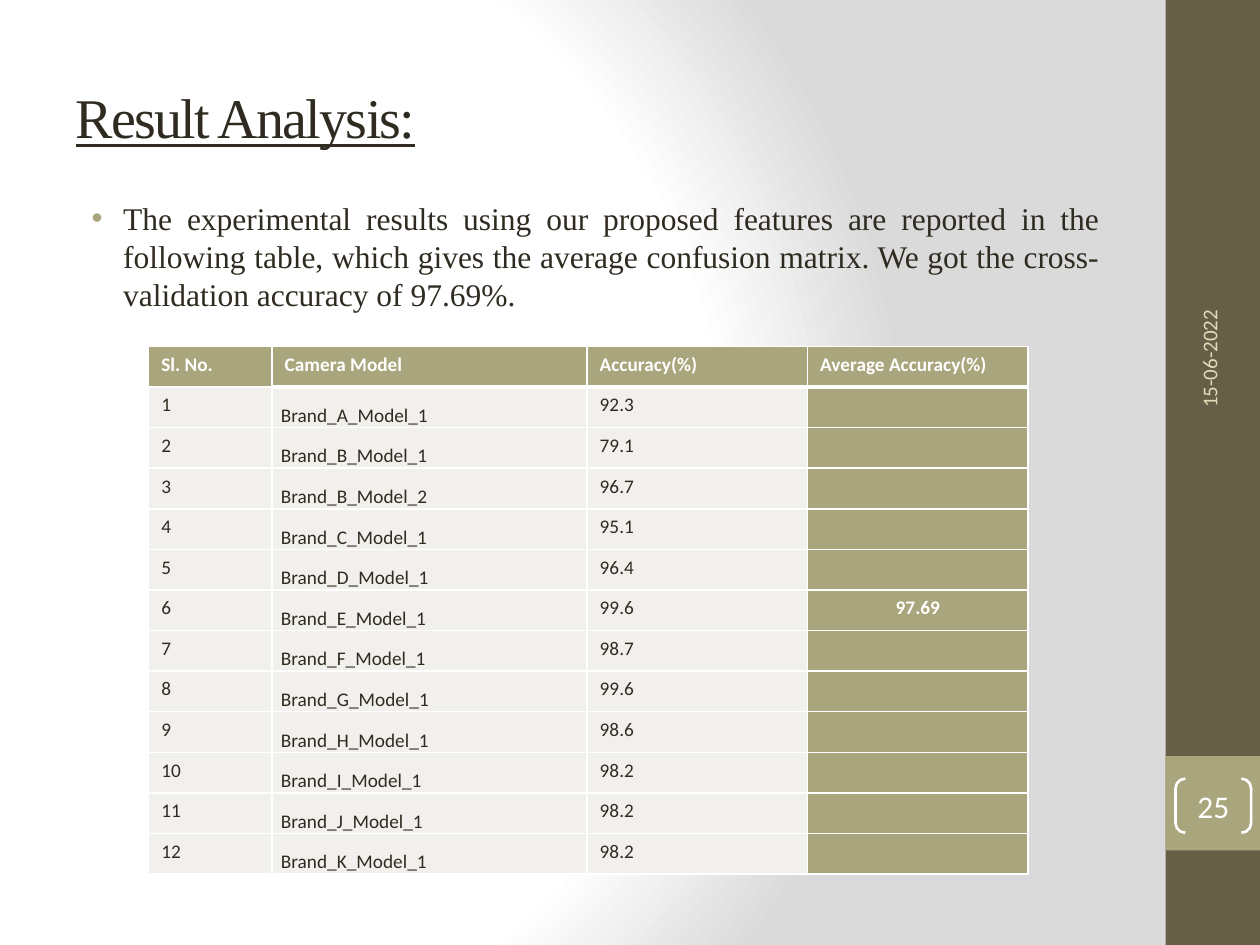
from lxml import etree
from pptx import Presentation
from pptx.dml.color import RGBColor
from pptx.enum.shapes import MSO_SHAPE
from pptx.enum.text import MSO_ANCHOR, PP_ALIGN
from pptx.oxml import parse_xml
from pptx.oxml.ns import nsdecls, qn
from pptx.util import Inches, Pt

RECTANGLE, BRACKETS = MSO_SHAPE.RECTANGLE, MSO_SHAPE.DOUBLE_BRACKET
TOP, MIDDLE, BOTTOM = MSO_ANCHOR.TOP, MSO_ANCHOR.MIDDLE, MSO_ANCHOR.BOTTOM
LEFT, CENTER, JUSTIFY = PP_ALIGN.LEFT, PP_ALIGN.CENTER, PP_ALIGN.JUSTIFY
SERIF, SANS = "Times New Roman", "Calibri"
INK, BROWN, OLIVE, PALE, WHITE = "2F2B20", "675E47", "A9A57C", "F1F0EC", "FFFFFF"
SAND, GRAY = "DFDCB7", "DADADA"

HEADERS = ["Sl. No.", "Camera Model", "Accuracy(%)", "Average Accuracy(%)"]
RESULTS = [
    ("Brand_A_Model_1", "92.3"),
    ("Brand_B_Model_1", "79.1"),
    ("Brand_B_Model_2", "96.7"),
    ("Brand_C_Model_1", "95.1"),
    ("Brand_D_Model_1", "96.4"),
    ("Brand_E_Model_1", "99.6"),
    ("Brand_F_Model_1", "98.7"),
    ("Brand_G_Model_1", "99.6"),
    ("Brand_H_Model_1", "98.6"),
    ("Brand_I_Model_1", "98.2"),
    ("Brand_J_Model_1", "98.2"),
    ("Brand_K_Model_1", "98.2"),
]
AVERAGE_ROW, AVERAGE = 6, "97.69"
COLUMN_WIDTHS = [0.98, 2.5, 1.75, 1.75]


def color(hex_string):
    """Turn a hex string into a colour."""
    return RGBColor.from_string(hex_string)


def add_run(paragraph, text, size, font, ink, bold=False):
    """Add one formatted run to a paragraph."""
    run = paragraph.add_run()
    run.text = text
    run.font.size, run.font.name, run.font.bold = Pt(size), font, bold
    run.font.color.rgb = color(ink)
    return run


def add_textbox(slide, left, top, width, height, anchor):
    """Add a wrapping text box and return it."""
    box = slide.shapes.add_textbox(Inches(left), Inches(top), Inches(width), Inches(height))
    box.text_frame.word_wrap = True
    box.text_frame.vertical_anchor = anchor
    return box


def add_background(slide):
    """Fill the background with a circular gradient."""
    fill = slide.background.fill
    fill.gradient()
    gradient = slide.background._cSld.find(".//" + qn("a:gradFill"))
    stops = "".join(
        f'<a:gs pos="{position * 1000}"><a:srgbClr val="{shade}"/></a:gs>'
        for position, shade in [(0, WHITE), (75, WHITE), (100, GRAY)]
    )
    gradient.getparent().replace(gradient, parse_xml(
        f'<a:gradFill {nsdecls("a")} rotWithShape="1"><a:gsLst>{stops}</a:gsLst>'
        '<a:path path="circle"><a:fillToRect l="20000" t="50000" r="100000" b="50000"/>'
        "</a:path></a:gradFill>"
    ))


def add_sidebar(slide, left, width, height):
    """Add the side band with the date and the page number."""
    badge_top = 6
    for top, band_height, shade in [(0, height, BROWN), (badge_top, width, OLIVE)]:
        band = slide.shapes.add_shape(
            RECTANGLE, Inches(left), Inches(top), Inches(width), Inches(band_height))
        band.shadow.inherit = False
        band.fill.solid()
        band.fill.fore_color.rgb = color(shade)
        band.line.fill.background()

    date = add_textbox(slide, left - 0.99, 1.8, 2.67, 0.4, MIDDLE)
    date.rotation = 270
    add_run(date.text_frame.paragraphs[0], "15-06-2022", 12, SANS, SAND)

    number = slide.shapes.add_shape(
        BRACKETS, Inches(left + 0.08), Inches(badge_top + 0.18), Inches(0.6), Inches(0.43))
    number.adjustments[0] = 0.18
    number.shadow.inherit = False
    number.fill.background()
    number.line.color.rgb = color(WHITE)
    number.line.width = Pt(1.5)
    frame = number.text_frame
    frame.margin_left = frame.margin_right = frame.margin_top = frame.margin_bottom = 0
    frame.vertical_anchor = MIDDLE
    frame.paragraphs[0].alignment = CENTER
    add_run(frame.paragraphs[0], "25", 18, SANS, WHITE)


def add_title(slide, left, top, width, height):
    """Place and format the title."""
    title = slide.shapes.title
    title.left, title.top = Inches(left), Inches(top)
    title.width, title.height = Inches(width), Inches(height)
    title.text_frame.vertical_anchor = MIDDLE
    paragraph = title.text_frame.paragraphs[0]
    paragraph.alignment = LEFT
    run = add_run(paragraph, "Result Analysis:", 32, SERIF, INK)
    run.font.underline = True
    run.font._element.set("spc", "-100")


def add_summary(slide, left, top, width, height):
    """Add the bulleted summary paragraph."""
    box = add_textbox(slide, left, top, width, height, TOP)
    paragraph = box.text_frame.paragraphs[0]
    paragraph.alignment = JUSTIFY
    paragraph.space_before = Pt(3.6)
    properties = paragraph._p.get_or_add_pPr()
    properties.set("marL", str(Inches(0.38)))
    properties.set("indent", str(Inches(-0.25)))
    bullet_color = etree.SubElement(properties, qn("a:buClr"))
    etree.SubElement(bullet_color, qn("a:srgbClr"), val=OLIVE)
    etree.SubElement(properties, qn("a:buFont"), typeface="Arial")
    etree.SubElement(properties, qn("a:buChar"), char="\u2022")
    add_run(paragraph, "The experimental results using our proposed features are reported in "
            "the following table, which gives the average confusion matrix. We got the "
            "cross-validation accuracy of 97.69%.", 18, SERIF, INK)


def set_borders(cell, widths):
    """Draw white cell borders from a mapping of side to width in points."""
    properties = cell._tc.get_or_add_tcPr()
    sides = [side for side in "LRTB" if side in widths]
    for position, side in enumerate(sides):
        properties.insert(position, parse_xml(
            f'<a:ln{side} {nsdecls("a")} w="{Pt(widths[side])}"><a:solidFill>'
            f'<a:srgbClr val="{WHITE}"/></a:solidFill></a:ln{side}>'))


def fill_cell(cell, text, row, column):
    """Write and format one table cell by its row and column."""
    header, average, model = row == 0, column == 3, column == 1 and row > 0
    accent = header or average
    cell.fill.solid()
    cell.fill.fore_color.rgb = color(OLIVE if accent else PALE)
    paragraph = cell.text_frame.paragraphs[0]
    if text:
        add_run(paragraph, text, 11, SANS, WHITE if accent else INK, accent)
    else:
        etree.SubElement(paragraph._p, qn("a:endParaRPr"), sz="1100")
    if average and not header:
        paragraph.alignment = CENTER
    if model:
        paragraph.line_spacing = 1.5
        cell.vertical_anchor = BOTTOM
        cell.margin_left = cell.margin_right = Inches(0.07)
        cell.margin_top = cell.margin_bottom = 0
    if not header:
        sides = "LRB" if row == 1 else "LRTB"
        set_borders(cell, dict.fromkeys(sides, 1))
    elif column > 0:
        sides = "RT" if column == 1 else "LRT"
        set_borders(cell, {**dict.fromkeys(sides, 1), "B": 3})


def add_results(slide, left, top, height):
    """Add the table of accuracies."""
    rows = [HEADERS] + [
        [str(number), model, accuracy, AVERAGE if number == AVERAGE_ROW else ""]
        for number, (model, accuracy) in enumerate(RESULTS, 1)
    ]
    table = slide.shapes.add_table(
        len(rows), len(HEADERS), Inches(left), Inches(top),
        Inches(sum(COLUMN_WIDTHS)), Inches(height)).table
    for column, width in zip(table.columns, COLUMN_WIDTHS):
        column.width = Inches(width)
    for row, texts in enumerate(rows):
        for column, text in enumerate(texts):
            fill_cell(table.cell(row, column), text, row, column)


def build_slide(presentation):
    """Build the result analysis slide."""
    slide = presentation.slides.add_slide(presentation.slide_layouts[5])
    add_background(slide)
    add_sidebar(slide, 9.25, 0.75, 7.5)
    add_title(slide, 0.5, 0.3, 8.33, 1.25)
    add_summary(slide, 0.5, 1.53, 8.33, 5.25)
    add_results(slide, 1.18, 2.75, 4.19)


presentation = Presentation()
presentation.slide_width, presentation.slide_height = Inches(10), Inches(7.5)
build_slide(presentation)
presentation.save("out.pptx")
